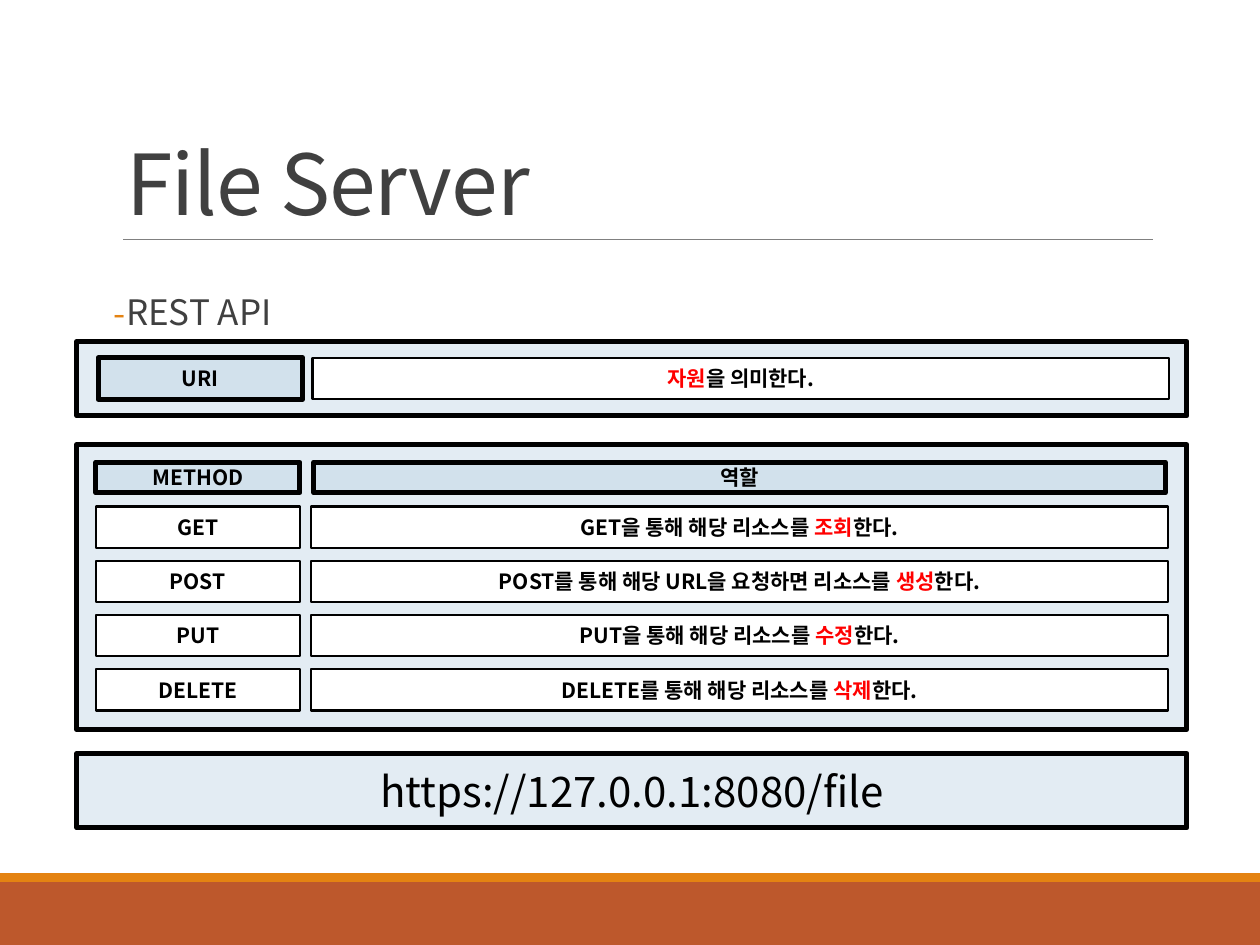
from lxml.etree import SubElement
from pptx import Presentation
from pptx.dml.color import RGBColor
from pptx.enum.shapes import MSO_CONNECTOR, MSO_SHAPE
from pptx.enum.text import MSO_ANCHOR, MSO_AUTO_SIZE, PP_ALIGN
from pptx.oxml.ns import qn
from pptx.util import Inches, Pt

FONT = "Noto Sans CJK KR"
COLORS = {"text": "404040", "rule": "808080", "black": "000000", "white": "FFFFFF",
          "red": "FF0000", "panel": "BCD3E4", "orange": "E48312", "rust": "BD582C"}

TITLE = "File Server"
SUBTITLE = "REST API"
URL = "https://127.0.0.1:8080/file"
# Each description is a list of (text, colour) runs.
URI_ROW = ("URI", [("자원", "red"), ("을 의미한다.", "black")])
METHOD_HEADER = ("METHOD", "역할")
METHODS = [
    ("GET", "GET을 통해 해당 리소스를 ", "조회"),
    ("POST", "POST를 통해 해당 URL을 요청하면 리소스를 ", "생성"),
    ("PUT", "PUT을 통해 해당 리소스를 ", "수정"),
    ("DELETE", "DELETE를 통해 해당 리소스를 ", "삭제"),
]
ENDING = "한다."

WIDTH, HEIGHT = 10, 7.5
PANEL_LEFT, PANEL_WIDTH = 0.61, 8.81
NAME_LEFT, NAME_WIDTH = 0.76, 1.62
ROLE_LEFT, ROLE_WIDTH = 2.47, 6.8
URI_TOP, HEADER_TOP, METHODS_TOP = 2.84, 3.67, 4.02
ROW_HEIGHT, HEADER_HEIGHT, ROW_PITCH = 0.33, 0.24, 0.43


def color(name):
    return RGBColor.from_string(COLORS[name])


def add_run(paragraph, text, size, color_name, bold=False):
    run = paragraph.add_run()
    run.text = text
    run.font.size = Pt(size)
    run.font.bold = bold
    run.font.name = FONT
    run.font.color.rgb = color(color_name)
    SubElement(run._r.get_or_add_rPr(), qn("a:ea"), typeface=FONT)
    return run


def add_box(slide, box, fill, line_width=0, runs=(), size=12, bold=True, alpha=None):
    """Add a rectangle with an optional black outline and centred text runs."""
    shape = slide.shapes.add_shape(MSO_SHAPE.RECTANGLE, *map(Inches, box))
    shape.shadow.inherit = False
    shape.fill.solid()
    shape.fill.fore_color.rgb = color(fill)
    if alpha:
        fill_color = shape._element.spPr.find(qn("a:solidFill"))[0]
        SubElement(fill_color, qn("a:alpha"), val=str(alpha * 1000))
    if line_width:
        shape.line.color.rgb = color("black")
        shape.line.width = Pt(line_width)
    else:
        shape.line.fill.background()
    if runs:
        frame = shape.text_frame
        frame.word_wrap = True
        frame.vertical_anchor = MSO_ANCHOR.MIDDLE
        paragraph = frame.paragraphs[0]
        paragraph.alignment = PP_ALIGN.CENTER
        for text, color_name in runs:
            add_run(paragraph, text, size, color_name, bold)


def add_panel(slide, box, text=None, **options):
    runs = [(text, "black")] if text else []
    add_box(slide, box, "panel", 3, runs, alpha=41, **options)


def add_cell(slide, box, runs):
    add_box(slide, box, "white", 1.25, runs)


def place(shape, left, top, width, height):
    shape.left, shape.top = Inches(left), Inches(top)
    shape.width, shape.height = Inches(width), Inches(height)


def add_frame(slide):
    """Add the footer bands and the rule under the title."""
    add_box(slide, (0, 7, WIDTH, 0.5), "rust")
    add_box(slide, (0, 6.93, WIDTH, 0.07), "orange")
    rule = slide.shapes.add_connector(
        MSO_CONNECTOR.STRAIGHT, *map(Inches, (0.98, 1.9, 9.15, 1.9)))
    rule.line.color.rgb = color("rule")
    rule.line.width = Pt(0.5)
    SubElement(rule._element.spPr, qn("a:effectLst"))


def fill_placeholders(slide):
    title, body = slide.shapes.title, slide.placeholders[1]
    place(title, 0.9, 0.31, 8.25, 1.59)
    place(body, 0.9, 2.02, 8.25, 4.4)
    for shape, anchor in ((title, MSO_ANCHOR.BOTTOM), (body, MSO_ANCHOR.TOP)):
        shape.text_frame.word_wrap = True
        shape.text_frame.auto_size = MSO_AUTO_SIZE.NONE
        shape.text_frame.vertical_anchor = anchor

    heading = title.text_frame.paragraphs[0]
    heading.alignment = PP_ALIGN.LEFT
    heading.line_spacing = 0.85
    run = add_run(heading, TITLE, 48, "text")
    run._r.get_or_add_rPr().set("spc", "-50")

    body.text_frame.margin_left = body.text_frame.margin_right = 0
    item = body.text_frame.paragraphs[0]
    properties = item._p.get_or_add_pPr()
    properties.set("marL", str(Inches(0.1)))
    properties.set("indent", str(-Inches(0.1)))
    bullet_color = SubElement(properties, qn("a:buClr"))
    SubElement(bullet_color, qn("a:srgbClr"), val=COLORS["orange"])
    SubElement(properties, qn("a:buFont"), typeface=FONT)
    SubElement(properties, qn("a:buChar"), char="-")
    item.line_spacing = 1.7
    item.space_before = Pt(0)
    item.space_after = Pt(2)
    add_run(item, SUBTITLE, 20, "text")


def add_uri(slide):
    name, description = URI_ROW
    add_panel(slide, (PANEL_LEFT, 2.71, PANEL_WIDTH, 0.59))
    add_panel(slide, (NAME_LEFT + 0.02, URI_TOP, NAME_WIDTH, ROW_HEIGHT), name)
    add_cell(slide, (ROLE_LEFT + 0.01, URI_TOP, ROLE_WIDTH, ROW_HEIGHT), description)


def add_methods(slide):
    add_panel(slide, (PANEL_LEFT, 3.53, PANEL_WIDTH, 2.26))
    name, role = METHOD_HEADER
    add_panel(slide, (NAME_LEFT, HEADER_TOP, NAME_WIDTH, HEADER_HEIGHT), name)
    add_panel(slide, (ROLE_LEFT + 0.02, HEADER_TOP, ROLE_WIDTH - 0.04, HEADER_HEIGHT), role)
    for row, (method, phrase, action) in enumerate(METHODS):
        top = METHODS_TOP + row * ROW_PITCH
        add_cell(slide, (NAME_LEFT, top, NAME_WIDTH, ROW_HEIGHT), [(method, "black")])
        add_cell(slide, (ROLE_LEFT, top, ROLE_WIDTH, ROW_HEIGHT),
                 [(phrase, "black"), (action, "red"), (ENDING, "black")])


def main():
    presentation = Presentation()
    presentation.slide_width, presentation.slide_height = Inches(WIDTH), Inches(HEIGHT)
    slide = presentation.slides.add_slide(presentation.slide_layouts[1])
    add_frame(slide)
    fill_placeholders(slide)
    add_methods(slide)
    add_uri(slide)
    add_panel(slide, (PANEL_LEFT, 5.98, PANEL_WIDTH, 0.59), URL, size=24, bold=False)
    presentation.save("out.pptx")


if __name__ == "__main__":
    main()
